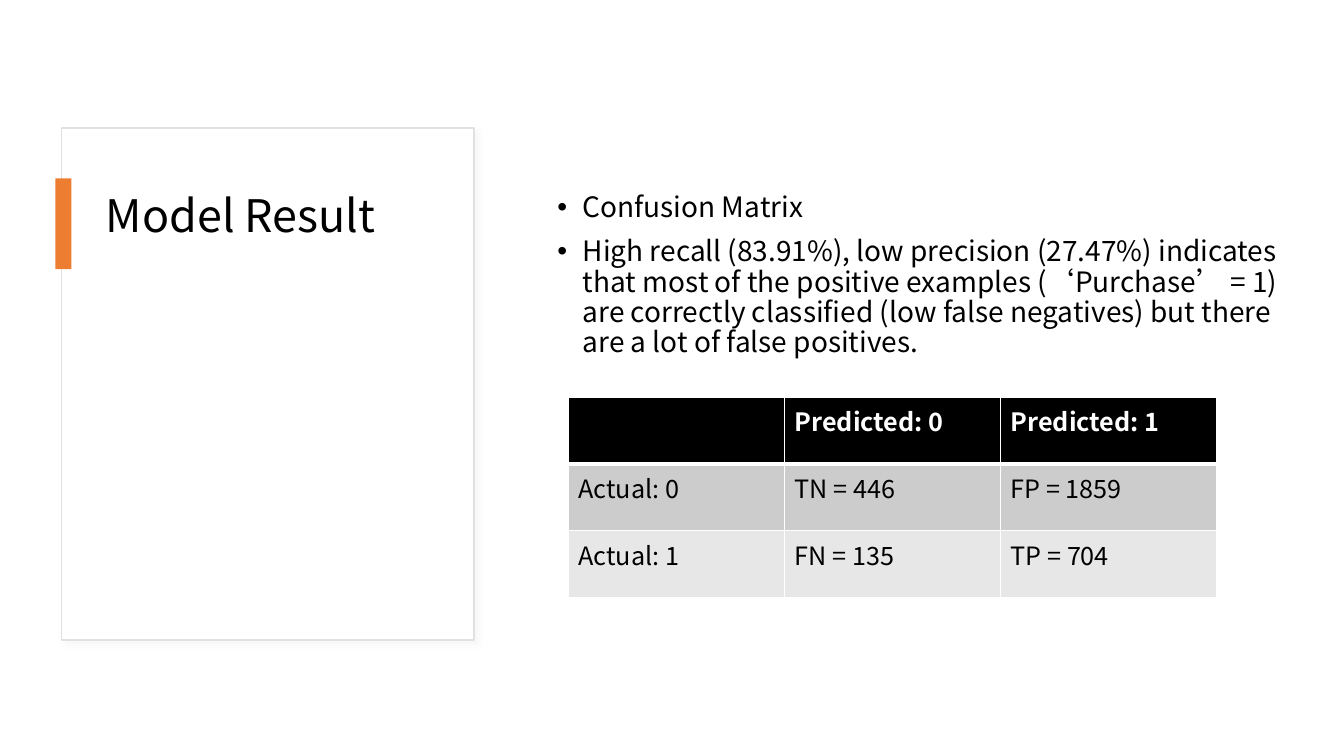
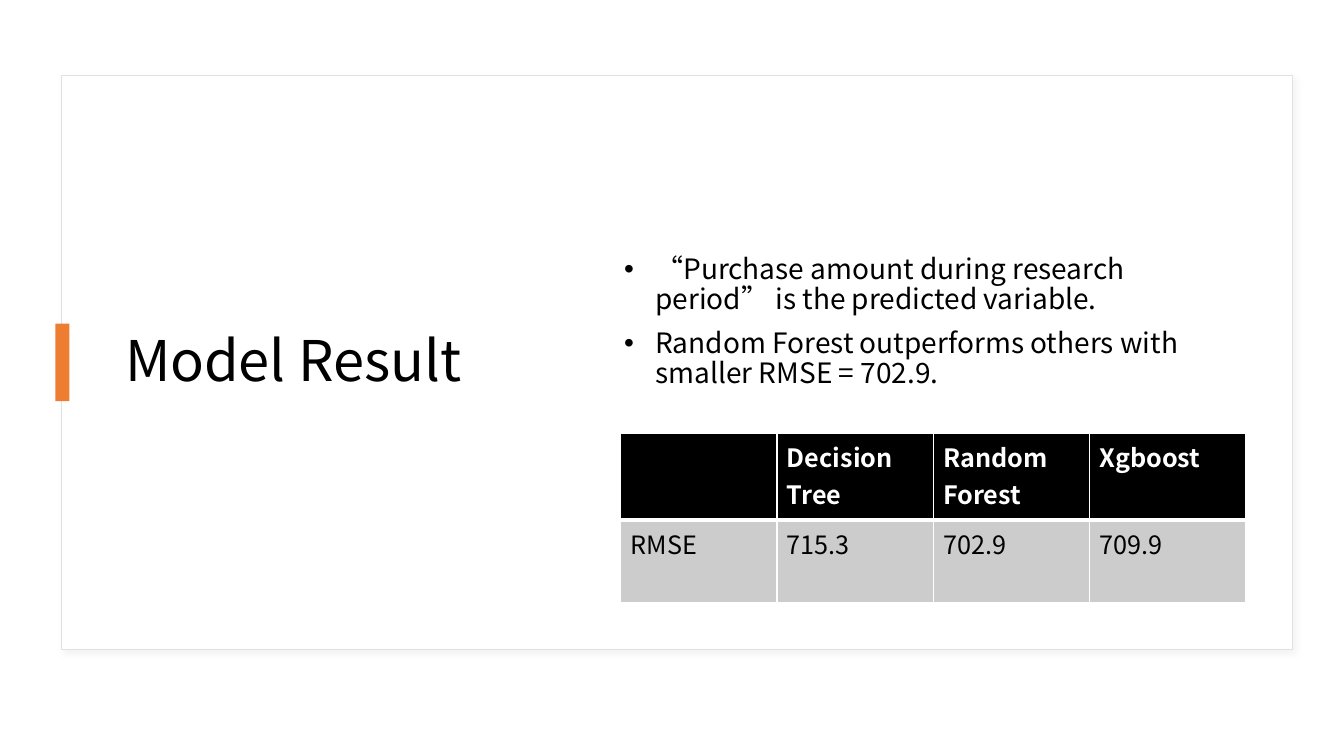
from lxml import etree
from pptx import Presentation, util as u
from pptx.dml.color import RGBColor
from pptx.enum import shapes, text
from pptx.oxml import parse_xml
from pptx.oxml.ns import nsdecls

COLORS = {
    "paper": "FFFFFF",
    "ink": "000000",
    "accent": "ED7D31",
    "outline": "E1E1E1",
    "band_dark": "CCCCCC",
    "band_light": "E7E7E7",
}
FONT = "Noto Sans CJK SC"
BODY_SIZE, CELL_SIZE = 20, 18
LINE_SPACING = 0.9

# Areas are left, top, width, height in percent of the slide
PAGES = [
    {
        "card": (4.58, 16.93, 30.68, 67.73),
        "shadow": "D9D9D9",
        "mark": (4.12, 23.6, 1.2, 12),
        "title": (7.13, 24.93, 25.43, 51.33),
        "title_size": 32,
        "anchor": text.MSO_ANCHOR.TOP,
        "body": (40.73, 24.93, 55.2, 59.73),
        "bottom_inset": 0.05,
        "indent": 0.25,
        "bullets": [
            "Confusion Matrix",
            "High recall (83.91%), low precision (27.47%) indicates that most of "
            "the positive examples (‘Purchase’ = 1) are correctly classified "
            "(low false negatives) but there are a lot of false positives.",
        ],
        "table": (42.3, 52.53, 48.23, 26.53),
        "row_shares": (1 / 3, 1 / 3, 1 / 3),
        "rows": [
            ("", "Predicted: 0", "Predicted: 1"),
            ("Actual: 0", "TN = 446", "FP = 1859"),
            ("Actual: 1", "FN = 135", "TP = 704"),
        ],
    },
    {
        "card": (4.58, 10, 91.58, 75.9),
        "shadow": "C5C3C3",
        "mark": (4.12, 42.8, 1.05, 10.27),
        "title": (8.55, 16, 30.08, 64),
        "title_size": 40,
        "anchor": text.MSO_ANCHOR.MIDDLE,
        "body": (45.68, 16, 46.5, 64),
        "bottom_inset": 0.85,
        "indent": 0.31,
        "bullets": [
            "“Purchase amount during research period” is the predicted variable.",
            "Random Forest outperforms others with smaller RMSE = 702.9.",
        ],
        "table": (46.18, 57.33, 46.5, 22.4),
        "row_shares": (0.51, 0.49),
        "rows": [
            ("", "Decision Tree", "Random Forest", "Xgboost"),
            ("RMSE", "715.3", "702.9", "709.9"),
        ],
    },
]

deck = Presentation()
deck.slide_width, deck.slide_height = u.Inches(13.33), u.Inches(7.5)


def area(percents):
    """Turn percent of the slide into left, top, width and height."""
    sides = (deck.slide_width, deck.slide_height) * 2
    return [int(side * percent / 100) for side, percent in zip(sides, percents)]


def add_span(para, words, size, color="ink", bold=False):
    span = para.add_run()
    span.text = words
    span.font.name, span.font.size, span.font.bold = FONT, u.Pt(size), bold
    span.font.color.rgb = RGBColor.from_string(COLORS[color])


for content in PAGES:
    page = deck.slides.add_slide(deck.slide_layouts[1])
    title, body = page.placeholders

    # Card behind the title, and its accent mark
    for part, fill in (("card", "paper"), ("mark", "accent")):
        box = page.shapes.add_shape(
            shapes.MSO_SHAPE.RECTANGLE, *area(content[part]))
        box.shadow.inherit = False
        box.fill.solid()
        box.fill.fore_color.rgb = RGBColor.from_string(COLORS[fill])
        if part == "mark":
            box.line.fill.background()
            continue
        box.line.color.rgb = RGBColor.from_string(COLORS["outline"])
        box.line.width = u.Pt(1)
        effects = box.element.spPr.find("{*}effectLst")
        effects.append(parse_xml(
            f'<a:outerShdw {nsdecls("a")} blurRad="{u.Pt(4)}" dist="{u.Pt(3)}" '
            f'dir="2700000" algn="tl" rotWithShape="0">'
            f'<a:srgbClr val="{content["shadow"]}"><a:alpha val="20000"/>'
            f'</a:srgbClr></a:outerShdw>'))
        title.element.addprevious(box.element)

    # Title and list
    for holder, part in ((title, "title"), (body, "body")):
        holder.left, holder.top, holder.width, holder.height = area(content[part])
        holder.text_frame.auto_size = text.MSO_AUTO_SIZE.NONE
        holder.text_frame.word_wrap = True
        holder.text_frame.vertical_anchor = content["anchor"]

    para = title.text_frame.paragraphs[0]
    para.alignment = text.PP_ALIGN.LEFT
    para.line_spacing = LINE_SPACING
    add_span(para, "Model Result", content["title_size"])

    body.text_frame.margin_bottom = u.Inches(content["bottom_inset"])
    indent = u.Inches(content["indent"])
    for number, words in enumerate(content["bullets"]):
        para = (body.text_frame.add_paragraph() if number
                else body.text_frame.paragraphs[0])
        para.line_spacing = LINE_SPACING
        para.space_before = u.Pt(10 if number else 0)
        properties = para._p.get_or_add_pPr()
        properties.set("marL", str(indent))
        properties.set("indent", str(-indent))
        add_span(para, words, BODY_SIZE)

    # Table with white rules and a heavier one under the header
    rows = content["rows"]
    place = area(content["table"])
    table = page.shapes.add_table(len(rows), len(rows[0]), *place).table
    for row, share in zip(table.rows, content["row_shares"]):
        row.height = int(place[3] * share)
    for row_number, row in enumerate(rows):
        header = row_number == 0
        fill = ("ink", "band_dark", "band_light")[row_number]
        for column_number, words in enumerate(row):
            cell = table.cell(row_number, column_number)
            properties = cell._tc.get_or_add_tcPr()
            for side in "LRTB":
                heavy = (header and side == "B") or (row_number == 1 and side == "T")
                border = etree.SubElement(
                    properties, f"{{{properties.nsmap['a']}}}ln{side}",
                    w=str(u.Pt(3 if heavy else 1)))
                border.append(parse_xml(
                    f'<a:solidFill {nsdecls("a")}>'
                    f'<a:srgbClr val="{COLORS["paper"]}"/></a:solidFill>'))
            cell.fill.solid()
            cell.fill.fore_color.rgb = RGBColor.from_string(COLORS[fill])
            if words:
                add_span(cell.text_frame.paragraphs[0], words, CELL_SIZE,
                         "paper" if header else "ink", header)

deck.save("out.pptx")
